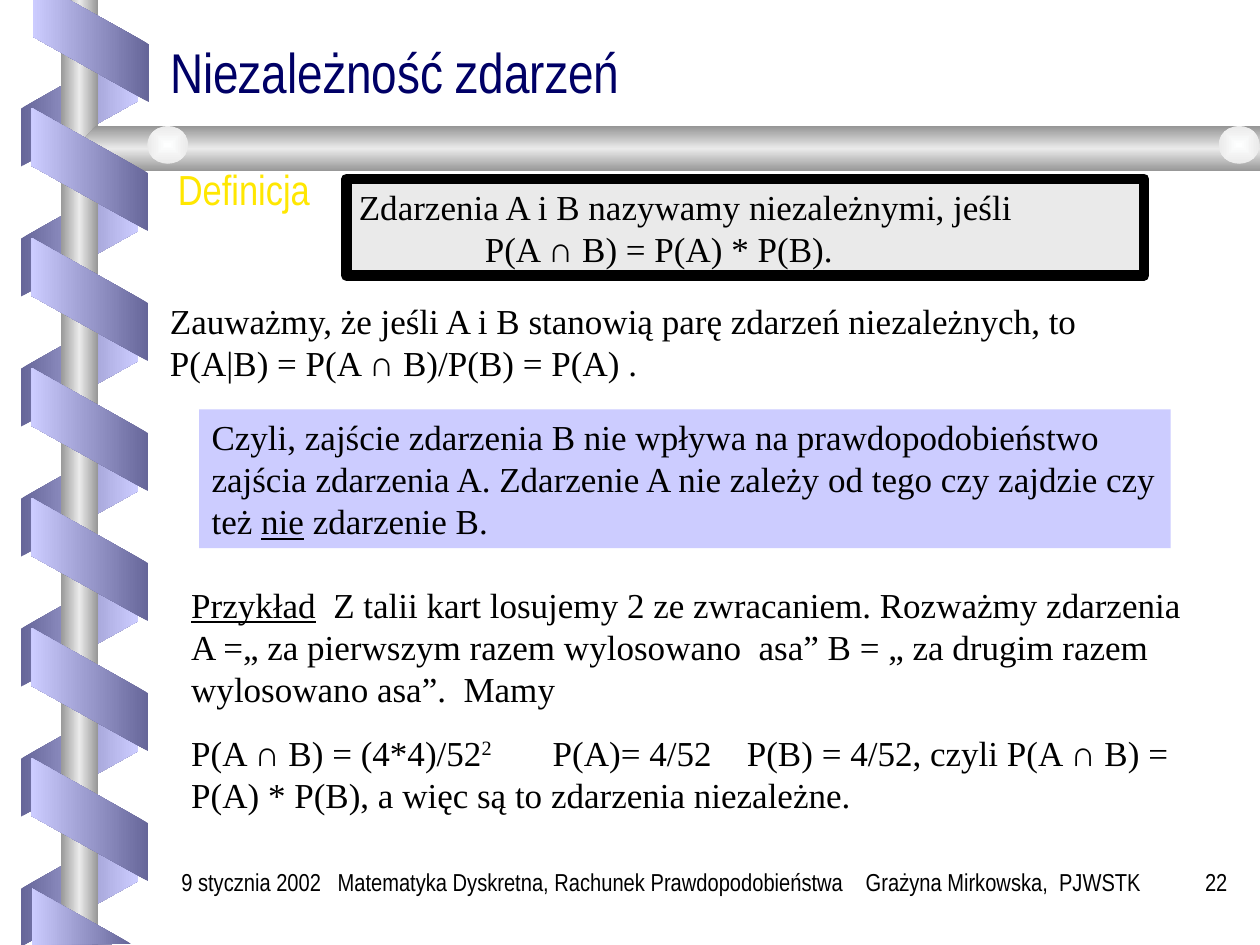
"""Build the slide on independent events with its ribbon and beam decor."""
from itertools import groupby

from lxml.etree import SubElement
from pptx import Presentation
from pptx.dml.color import RGBColor
from pptx.enum.shapes import MSO_SHAPE
from pptx.enum.text import MSO_ANCHOR, MSO_AUTO_SIZE, PP_ALIGN
from pptx.oxml import parse_xml
from pptx.oxml.ns import nsdecls, qn
from pptx.util import Pt

BLACK = RGBColor(0x00, 0x00, 0x00)
NAVY = RGBColor(0x00, 0x00, 0x66)
GOLD = RGBColor(0xFF, 0xE7, 0x01)
SILVER = RGBColor(0xEA, 0xEA, 0xEA)
LILAC = RGBColor(0xCC, 0xCC, 0xFF)
PLUM = RGBColor(0x66, 0x66, 0x99)
GREY = RGBColor(0x96, 0x96, 0x96)
WHITE = RGBColor(0xFE, 0xFF, 0xFF)

SERIF, NARROW = "Times New Roman", "Arial Narrow"
RIBBON = (PLUM, LILAC)
METAL = (GREY, SILVER, GREY)

TITLE = "Niezależność zdarzeń"
TERM = "Definicja"
RULE = [[("Zdarzenia A i B nazywamy niezależnymi, jeśli", ""), ("\v", ""),
         ("\tP(A ∩ B) = P(A) * P(B).", "")]]
NOTE = [[("Zauważmy, że jeśli A i B stanowią parę zdarzeń niezależnych, to", ""), ("\v", ""),
         ("P(A|B) = P(A ∩ B)/P(B) = P(A) .", "")]]
SENSE = [[("Czyli, zajście zdarzenia B nie wpływa na prawdopodobieństwo zajścia zdarzenia A. "
           "Zdarzenie A nie zależy od tego czy zajdzie czy też ", ""),
          ("nie", "line"), (" zdarzenie B.", "")]]
CASE = [[("Przykład", "line"),
         ("  Z talii kart losujemy 2 ze zwracaniem. Rozważmy zdarzenia A =„ za pierwszym razem "
          "wylosowano  asa” B = „ za drugim razem wylosowano asa”.  Mamy", "")],
        [("P(A ∩ B) = (4*4)/52", ""), ("2", "super"),
         ("\tP(A)= 4/52\tP(B) = 4/52, czyli P(A ∩ B) = P(A) * P(B), "
          "a więc są to zdarzenia niezależne.", "")]]

BLOCKS = [
    (RULE, (198, 102.2, 455.8, 55.4), SILVER, BLACK, (72,)),
    (NOTE, (90, 167.8, 601.2, 55.4), None, None, ()),
    (SENSE, (113.8, 234, 555.1, 79.2), LILAC, None, ()),
    (CASE, (102.2, 329.8, 593.3, 139.7), None, None, (206.6, 317.5)),
]
FOOTER = [
    ("9 stycznia 2002", (96.5, 101.5), PP_ALIGN.LEFT, ()),
    ("Matematyka Dyskretna, Rachunek Prawdopodobieństwa\tGrażyna Mirkowska,  PJWSTK",
     (185.8, 473.8), PP_ALIGN.LEFT, (301.8,)),
    ("22", (648, 60.5), PP_ALIGN.RIGHT, ()),
]
BEAM = [(720, 72), (54.7, 72), (43.2, 85), (54.7, 97.9), (720, 97.9)]
CROWN = [(18.7, 0), (18.7, 20.9), (85, 58.3), (85, 25.2), (39.6, 0)]
TAIL = [(74.9, 539.3), (18, 507.6), (18, 540)]
STEP, TURNS = 74.3, 7


def place(box):
    return [Pt(n) for n in box]


def blend(shape, tones, angle=None):
    shape.shadow.inherit = False
    shape.line.fill.background()
    stops = "".join(
        f'<a:gs pos="{100000 * i // (len(tones) - 1)}"><a:srgbClr val="{tone}"/></a:gs>'
        for i, tone in enumerate(tones))
    way = ('<a:path path="rect"><a:fillToRect l="50000" t="50000" r="50000" b="50000"/></a:path>'
           if angle is None else f'<a:lin ang="{angle * 60000}" scaled="0"/>')
    fill = parse_xml(f'<a:gradFill {nsdecls("a")} rotWithShape="0">'
                     f'<a:gsLst>{stops}</a:gsLst>{way}</a:gradFill>')
    shape.element.spPr.find(qn("a:ln")).addprevious(fill)


def ribbon(shapes, left, top, turn, tones):
    band = shapes.add_shape(MSO_SHAPE.PARALLELOGRAM, *place((left, top, 70.6, 67)))
    band.adjustments[0] = 0.56
    band.rotation = turn
    if turn == 90:
        band.element.spPr.xfrm.set("flipH", "1")
    blend(band, tones, 180)


def outline(shapes, points, tones, angle):
    first, *rest = [place(point) for point in points]
    pen = shapes.build_freeform(*first)
    pen.add_line_segments(rest, close=True)
    blend(pen.convert_to_shape(), tones, angle)


def draw(shapes):
    for i in range(TURNS):
        ribbon(shapes, 10.1, 26.4 + STEP * i, 90, RIBBON)
    pole = shapes.add_shape(MSO_SHAPE.RECTANGLE, *place((34.6, 0, 21.6, 540)))
    blend(pole, METAL, 180)
    outline(shapes, BEAM, METAL, 90)
    for left in (84.2, 696.4):
        bead = shapes.add_shape(MSO_SHAPE.OVAL, *place((left, 72, 23.4, 21.6)))
        blend(bead, (WHITE, SILVER))
    for i in range(TURNS - 1):
        ribbon(shapes, 16.2, 63.4 + STEP * i, 270, RIBBON)
    for points in (CROWN, TAIL):
        outline(shapes, points, RIBBON, 180)


def style(font, name, size, color):
    font.name, font.size = name, Pt(size)
    font.color.rgb = color


def set_tabs(para, stops):
    if stops:
        tabs = SubElement(para._p.get_or_add_pPr(), qn("a:tabLst"))
        for stop in stops:
            SubElement(tabs, qn("a:tab"), pos=str(Pt(stop)), algn="l")


def write(para, parts):
    for text, look in parts:
        if text == "\v":
            para.add_line_break()
            continue
        for sign, chars in groupby(text, lambda char: char == "∩"):
            run = para.add_run()
            run.text = "".join(chars)
            style(run.font, "Arial" if sign else SERIF, 20, BLACK)
            if look == "line":
                run.font.underline = True
            if look == "super":
                run.font._element.set("baseline", "30000")


def add_block(shapes, paras, box, fill, line, stops):
    if fill is None:
        shape = shapes.add_textbox(*place(box))
    else:
        shape = shapes.add_shape(MSO_SHAPE.RECTANGLE, *place(box))
        shape.shadow.inherit = False
        shape.fill.solid()
        shape.fill.fore_color.rgb = fill
        if line is None:
            shape.line.fill.background()
        else:
            shape.line.color.rgb, shape.line.width = line, Pt(6)
    frame = shape.text_frame
    frame.word_wrap, frame.vertical_anchor = True, MSO_ANCHOR.TOP
    for i, parts in enumerate(paras):
        para = frame.add_paragraph() if i else frame.paragraphs[0]
        para.alignment = PP_ALIGN.LEFT
        if i:
            para.space_before = Pt(12.5)
        set_tabs(para, stops)
        write(para, parts)


def add_label(shapes, text, box, size, color, align=PP_ALIGN.LEFT, stops=(), wrap=True):
    frame = shapes.add_textbox(*place(box)).text_frame
    frame.word_wrap = wrap
    para = frame.paragraphs[0]
    para.text, para.alignment = text, align
    set_tabs(para, stops)
    for run in para.runs:
        style(run.font, NARROW, size, color)


def add_title(title):
    title.left, title.top, title.width, title.height = place((90, 18, 612, 45.4))
    frame = title.text_frame
    frame.text = TITLE
    frame.auto_size, frame.vertical_anchor = MSO_AUTO_SIZE.NONE, MSO_ANCHOR.BOTTOM
    para = frame.paragraphs[0]
    para.alignment, para.line_spacing = PP_ALIGN.LEFT, 0.8
    style(para.runs[0].font, NARROW, 32, NAVY)


def main():
    deck = Presentation()
    deck.slide_width, deck.slide_height = Pt(720), Pt(540)
    slide = deck.slides.add_slide(deck.slide_layouts[5])
    draw(slide.shapes)
    add_title(slide.shapes.title)
    for block in BLOCKS:
        add_block(slide.shapes, *block)
    add_label(slide.shapes, TERM, (94.5, 90, 90, 36), 24, GOLD, wrap=False)
    for text, (left, width), align, stops in FOOTER:
        add_label(slide.shapes, text, (left, 491.8, width, 36), 14, BLACK, align, stops)
    deck.save("out.pptx")


if __name__ == "__main__":
    main()
